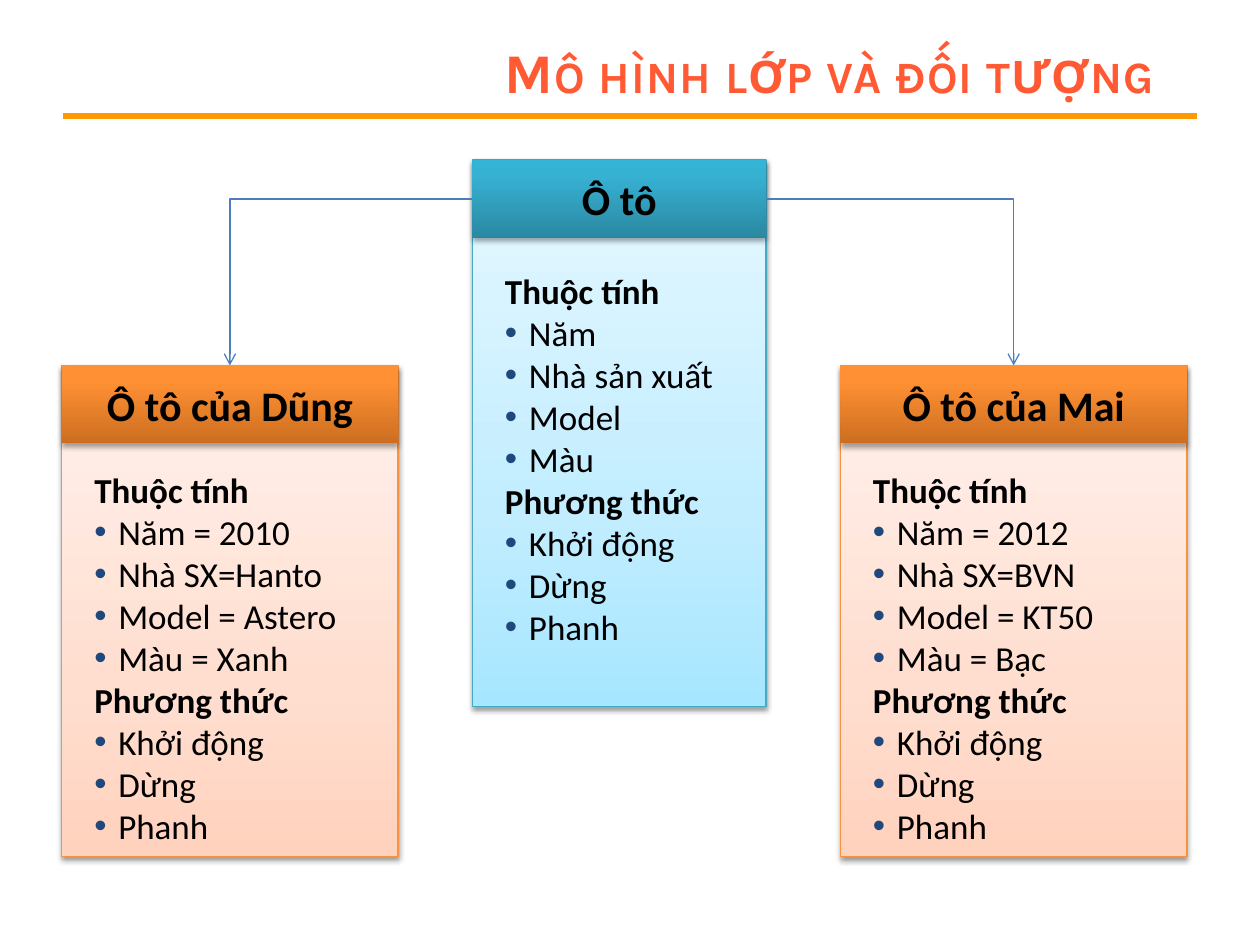
from lxml import etree
from pptx import Presentation
from pptx.dml.color import RGBColor
from pptx.enum.shapes import MSO_CONNECTOR, MSO_SHAPE
from pptx.enum.text import MSO_ANCHOR, MSO_AUTO_SIZE, PP_ALIGN
from pptx.oxml import parse_xml
from pptx.oxml.ns import qn
from pptx.util import Inches, Pt

RECTANGLE = MSO_SHAPE.RECTANGLE
STRAIGHT, ELBOW = MSO_CONNECTOR.STRAIGHT, MSO_CONNECTOR.ELBOW
MIDDLE, FIT_TEXT = MSO_ANCHOR.MIDDLE, MSO_AUTO_SIZE.SHAPE_TO_FIT_TEXT
CENTER, RIGHT = PP_ALIGN.CENTER, PP_ALIGN.RIGHT
DRAWING_NS = "http://schemas.openxmlformats.org/drawingml/2006/main"

TITLE = "Mô hình lớp và đối tượng"
ATTRIBUTES, METHODS = "Thuộc tính", "Phương thức"
METHOD_NAMES = ["Khởi động", "Dừng", "Phanh"]

# Gradient stops run from the bottom edge to the top edge.
BLUE = {
    "header": [(0, "2A88A2"), (80, "37B1D2"), (100, "34B4D6")],
    "body": [(0, "A7E6FF"), (35, "C1EDFF"), (100, "E7F8FF")],
    "border": "46AAC5",
}
ORANGE = {
    "header": [(0, "CC6E20"), (80, "FF9034"), (100, "FF9136")],
    "body": [(0, "FFD2BD"), (35, "FFDED0"), (100, "FFF2ED")],
    "border": "F69240",
}
CAR_CLASS = {
    "name": "Ô tô", "box": (3.75, 1.27, 2.33, 4.34), "palette": BLUE,
    "text_top": 2.09, "text_size": (2, 3.47),
    "attributes": ["Năm", "Nhà sản xuất", "Model", "Màu"],
}
CAR_OBJECTS = [
    {
        "name": "Ô tô của Dũng", "box": (0.49, 2.9, 2.67, 3.9), "palette": ORANGE,
        "text_top": 3.67, "text_size": (2.35, 3.13),
        "attributes": ["Năm = 2010", "Nhà SX=Hanto", "Model = Astero", "Màu = Xanh"],
    },
    {
        "name": "Ô tô của Mai", "box": (6.67, 2.9, 2.75, 3.9), "palette": ORANGE,
        "text_top": 3.67, "text_size": (2.5, 3.13),
        "attributes": ["Năm = 2012", "Nhà SX=BVN", "Model = KT50", "Màu = Bạc"],
    },
]
HEADER_HEIGHT = 0.62
TEXT_INDENT = 0.16
BULLET_INDENT = Inches(0.19)
BULLET_COLOR = "1F497D"


def rgb(value):
    return RGBColor.from_string(value)


def add_run(paragraph, text, color="000000", **font_format):
    run = paragraph.add_run()
    run.text = text
    run.font.color.rgb = rgb(color)
    for attribute, value in font_format.items():
        setattr(run.font, attribute, value)
    return run


def add_panel(slide, box, stops, shadow_alpha, shadow_distance):
    """Add a rectangle with a vertical gradient and a soft shadow below."""
    panel = slide.shapes.add_shape(RECTANGLE, *map(Inches, box))
    properties = panel._element.spPr
    stop_xml = "".join(
        f'<a:gs pos="{position * 1000}"><a:srgbClr val="{color}"/></a:gs>'
        for position, color in stops
    )
    properties.append(parse_xml(
        f'<a:gradFill xmlns:a="{DRAWING_NS}" rotWithShape="1"><a:gsLst>{stop_xml}</a:gsLst>'
        '<a:lin ang="16200000" scaled="0"/></a:gradFill>'
    ))
    panel.line.fill.background()
    properties.append(parse_xml(
        f'<a:effectLst xmlns:a="{DRAWING_NS}"><a:outerShdw blurRad="{Pt(3.1)}" '
        f'dist="{Pt(shadow_distance)}" dir="5400000" rotWithShape="0"><a:srgbClr val="000000">'
        f'<a:alpha val="{shadow_alpha * 1000}"/></a:srgbClr></a:outerShdw></a:effectLst>'
    ))
    return panel


def add_bullet(paragraph):
    properties = paragraph._p.get_or_add_pPr()
    properties.set("marL", str(BULLET_INDENT))
    properties.set("indent", str(-BULLET_INDENT))
    color = etree.SubElement(properties, qn("a:buClr"))
    etree.SubElement(color, qn("a:srgbClr"), val=BULLET_COLOR)
    etree.SubElement(properties, qn("a:buFont"), typeface="Arial")
    etree.SubElement(properties, qn("a:buChar"), char="•")


def add_card(slide, card):
    left, top, width, height = card["box"]
    palette = card["palette"]
    body = add_panel(slide, card["box"], palette["body"], 38, 1.6)
    body.line.color.rgb = rgb(palette["border"])
    body.line.width = Pt(0.75)

    header_box = (left, top, width, HEADER_HEIGHT)
    header = add_panel(slide, header_box, palette["header"], 35, 1.8).text_frame
    header.vertical_anchor = MIDDLE
    header.paragraphs[0].alignment = CENTER
    add_run(header.paragraphs[0], card["name"], name="Calibri", size=Pt(24), bold=True)

    text_box = (left + TEXT_INDENT, card["text_top"], *card["text_size"])
    members = slide.shapes.add_textbox(*map(Inches, text_box)).text_frame
    members.word_wrap = True
    members.auto_size = FIT_TEXT
    lines = [ATTRIBUTES, *card["attributes"], METHODS, *METHOD_NAMES]
    for index, line in enumerate(lines):
        paragraph = members.add_paragraph() if index else members.paragraphs[0]
        is_heading = line in (ATTRIBUTES, METHODS)
        if not is_heading:
            add_bullet(paragraph)
        add_run(paragraph, line, name="Calibri", size=Pt(20), bold=is_heading)


def add_line(slide, kind, start, end, color, width):
    line = slide.shapes.add_connector(kind, *map(Inches, (*start, *end)))
    line.line.color.rgb = rgb(color)
    line.line.width = Pt(width)
    etree.SubElement(line._element.spPr, qn("a:effectLst"))
    return line


def add_arrow(slide, start, end):
    """Add an arrow that runs sideways and then turns down once."""
    arrow = add_line(slide, ELBOW, start, end, "4B7EBC", 0.75)
    arrow._element.spPr.find(qn("a:prstGeom")).set("prst", "bentConnector2")
    etree.SubElement(arrow.line._get_or_add_ln(), qn("a:tailEnd"), type="arrow")


def add_title(slide):
    title = slide.shapes.add_textbox(*map(Inches, (2.25, 0.3, 7.25, 0.53))).text_frame
    title.word_wrap = True
    title.vertical_anchor = MIDDLE
    title.paragraphs[0].alignment = RIGHT
    run = add_run(title.paragraphs[0], TITLE, "FF5A33", name="Karla", size=Pt(32), bold=True)
    for attribute, value in {"cap": "small", "spc": "75"}.items():
        run.font._element.set(attribute, value)


def main():
    presentation = Presentation()
    presentation.slide_width, presentation.slide_height = Inches(10), Inches(7.5)
    slide = presentation.slides.add_slide(presentation.slide_layouts[6])

    add_line(slide, STRAIGHT, (0.5, 0.92), (9.5, 0.92), "FF9900", 3)
    add_title(slide)
    for card in [CAR_CLASS, *CAR_OBJECTS]:
        add_card(slide, card)

    class_left, class_top, class_width, _ = CAR_CLASS["box"]
    class_sides = (class_left, class_left + class_width)
    for side, car in zip(class_sides, CAR_OBJECTS):
        left, top, width, _ = car["box"]
        add_arrow(slide, (side, class_top + HEADER_HEIGHT / 2), (left + width / 2, top))

    presentation.save("out.pptx")


if __name__ == "__main__":
    main()
